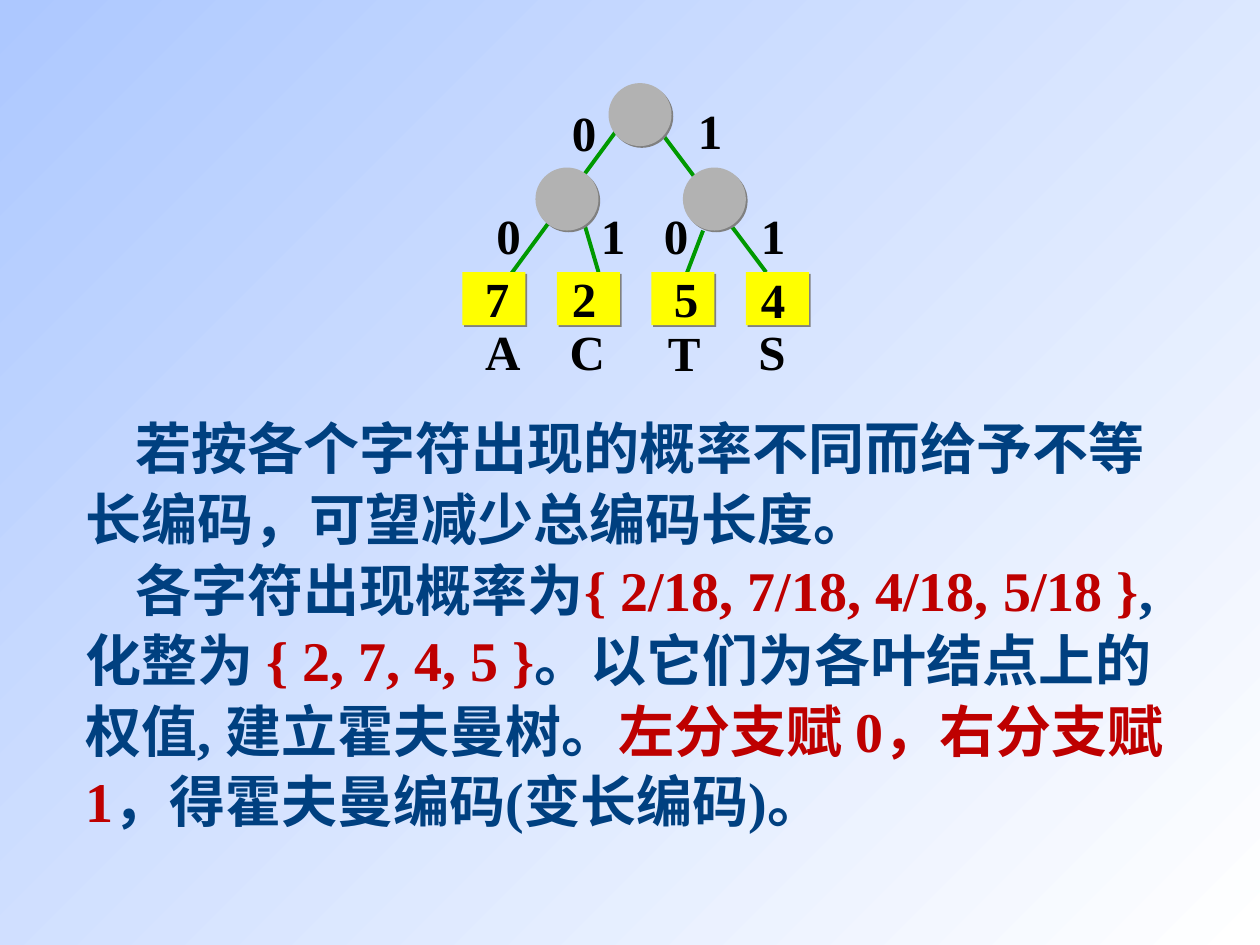
from lxml import etree
from pptx import Presentation
from pptx.dml.color import RGBColor
from pptx.enum.shapes import MSO_CONNECTOR, MSO_SHAPE
from pptx.enum.text import MSO_ANCHOR, MSO_AUTO_SIZE, PP_ALIGN
from pptx.oxml import parse_xml
from pptx.oxml.ns import nsdecls, qn
from pptx.util import Inches, Pt

STRAIGHT = MSO_CONNECTOR.STRAIGHT
OVAL, RECT = MSO_SHAPE.OVAL, MSO_SHAPE.RECTANGLE
MIDDLE, CENTER = MSO_ANCHOR.MIDDLE, PP_ALIGN.CENTER
FIT_SHAPE = MSO_AUTO_SIZE.SHAPE_TO_FIT_TEXT

WHITE = RGBColor(0xFF, 0xFF, 0xFF)
SKY = RGBColor(0xAD, 0xC8, 0xFF)
GREEN = RGBColor(0x00, 0x99, 0x00)
GRAY = RGBColor(0xB2, 0xB2, 0xB2)
YELLOW = RGBColor(0xFF, 0xFF, 0x00)
BLACK = RGBColor(0x00, 0x00, 0x00)
NAVY = RGBColor(0x00, 0x40, 0x80)
RED = RGBColor(0xBE, 0x00, 0x00)
FONT = "Times New Roman"

SHADOW = (
    f'<a:effectLst {nsdecls("a")}><a:outerShdw dist="17961" dir="2700000">'
    '<a:srgbClr val="808080"/></a:outerShdw></a:effectLst>'
)

# Tree geometry in inches, relative to the tree's top left corner
NODE, LEAF_H, LEAF_STEP, LEAF_TOP = 0.5, 0.42, 0.75, 1.5
NODES = [(1.16, 0), (0.58, 0.67), (1.75, 0.67)]
EDGES = [
    (1.91, 1.17, 1.75, 1.59),
    (1.41, 0.17, 2.41, 1.5),
    (0.91, 0.92, 1.08, 1.5),
    (1.25, 0.34, 0.33, 1.59),
]
DIGIT_W, LABEL_H = 0.39, 0.57
BITS = [("0", 0.77, 0.1), ("1", 1.77, 0.09), ("0", 0.17, 0.92),
        ("1", 1, 0.92), ("0", 1.5, 0.92), ("1", 2.27, 0.92)]
WEIGHTS = [("7", 0.08, 1.42), ("2", 0.77, 1.42), ("5", 1.58, 1.42), ("4", 2.27, 1.43)]
LETTERS = [("A", 0.08, 1.84, 0.48), ("C", 0.75, 1.84, 0.48),
           ("T", 1.53, 1.85, 0.46), ("S", 2.25, 1.84, 0.41)]

PARAGRAPHS = [
    [("若按各个字符出现的概率不同而给予不等长编码，可望减少总编码长度。", NAVY)],
    [
        ("各字符出现概率为", NAVY),
        ("{ 2/18, 7/18, 4/18, 5/18 }", RED),
        (",化整为 ", NAVY),
        ("{ 2, 7, 4, 5 }", RED),
        ("。以它们为各叶结点上的权值, 建立霍夫曼树。", NAVY),
        ("左分支赋 0，右分支赋 1", RED),
        ("，得霍夫曼编码(变长编码)。", NAVY),
    ],
]


def set_background(s):
    fill = s.background.fill
    fill.gradient()
    fill.gradient_angle = 135
    for stop, color in zip(fill.gradient_stops, (WHITE, SKY)):
        stop.color.rgb = color


def add_edge(s, x1, y1, x2, y2):
    line = s.shapes.add_connector(STRAIGHT, x1, y1, x2, y2)
    line.line.color.rgb = GREEN
    line.line.width = Pt(2.25)
    etree.SubElement(line._element.spPr, qn("a:effectLst"))


def add_block(s, kind, left, top, width, height, color):
    sp = s.shapes.add_shape(kind, left, top, width, height)
    sp.fill.solid()
    sp.fill.fore_color.rgb = color
    sp.line.fill.background()
    sp._element.spPr.append(parse_xml(SHADOW))


def add_label(s, text, left, top, width):
    tf = s.shapes.add_textbox(left, top, width, Inches(LABEL_H)).text_frame
    tf.word_wrap = False
    tf.auto_size = FIT_SHAPE
    tf.vertical_anchor = MIDDLE
    p = tf.paragraphs[0]
    p.alignment = CENTER
    p.font.name, p.font.size, p.font.bold = FONT, Pt(28), True
    p.font.color.rgb = BLACK
    p.add_run().text = text


def add_tree(s, left, top):
    def x(value):
        return left + Inches(value)

    def y(value):
        return top + Inches(value)

    for x1, y1, x2, y2 in EDGES:
        add_edge(s, x(x1), y(y1), x(x2), y(y2))
    for nx, ny in NODES:
        add_block(s, OVAL, x(nx), y(ny), Inches(NODE), Inches(NODE), GRAY)
    for i in range(len(LETTERS)):
        add_block(s, RECT, x(i * LEAF_STEP), y(LEAF_TOP), Inches(NODE), Inches(LEAF_H), YELLOW)
    digits = [(*digit, DIGIT_W) for digit in WEIGHTS + BITS]
    for text, lx, ly, width in digits + LETTERS:
        add_label(s, text, x(lx), y(ly), Inches(width))


def add_explanation(s, left, top, width, height):
    tf = s.shapes.add_textbox(left, top, width, height).text_frame
    tf.word_wrap = True
    tf.auto_size = FIT_SHAPE
    for i, runs in enumerate(PARAGRAPHS):
        p = tf.add_paragraph() if i else tf.paragraphs[0]
        p.line_spacing = 1.05
        p.font.name, p.font.size, p.font.bold = FONT, Pt(32), True
        p._p.get_or_add_pPr().set("indent", str(Inches(0.4)))
        for text, color in runs:
            r = p.add_run()
            r.text = text
            r.font.color.rgb = color


def main():
    prs = Presentation()
    prs.slide_width, prs.slide_height = Inches(10), Inches(7.5)
    s = prs.slides.add_slide(prs.slide_layouts[6])
    set_background(s)
    add_explanation(s, Inches(0.58), Inches(3.21), Inches(8.83), Inches(3.46))
    add_tree(s, Inches(3.67), Inches(0.66))
    prs.save("out.pptx")


if __name__ == "__main__":
    main()
